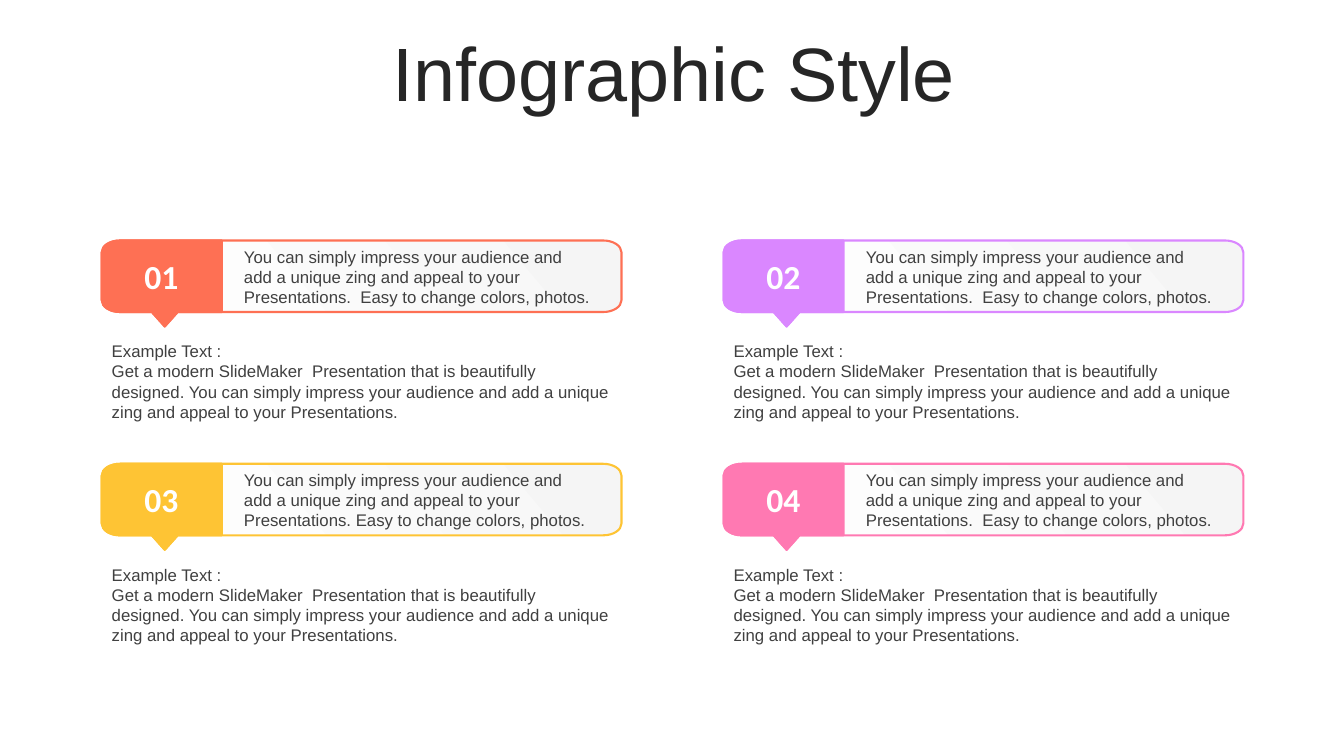
"""Build the Infographic Style slide with four numbered callout cards."""
from pptx import Presentation
from pptx.dml.color import RGBColor
from pptx.enum.text import MSO_ANCHOR as Anchor, MSO_AUTO_SIZE as AutoSize, PP_ALIGN as Align
from pptx.oxml.ns import qn
from pptx.util import Pt

CARDS = [
    ("01", "FE7054", "Presentations.  Easy"),
    ("02", "DA87FF", "Presentations.  Easy"),
    ("03", "FEC434", "Presentations. Easy"),
    ("04", "FF79B2", "Presentations.  Easy"),
]
LEFT, TOP, COLUMN_STEP, ROW_STEP = 72.7, 171.8, 444.2, 159.5
CARD_WIDTH, TAB_WIDTH, CARD_HEIGHT = 371.2, 85.7, 51.1
CORNER_X, CORNER_Y, CURVE = 13, 8.4, 0.55
TIP_X, TIP_HALF, TIP_HEIGHT = 45, 9.2, 10.3
DETAIL = [
    "Example Text :",
    "Get a modern SlideMaker  Presentation that is beautifully designed. "
    "You can simply impress your audience and add a unique zing and appeal "
    "to your Presentations.",
]

deck = Presentation()
deck.slide_width, deck.slide_height = Pt(960), Pt(540)
page = deck.slides.add_slide(deck.slide_layouts[6])


def add_text(lines, left, top, width, height, size=12, color="404040", font="Arial",
             bold=False, align=Align.LEFT, anchor=Anchor.TOP, spacing=None,
             fit=AutoSize.SHAPE_TO_FIT_TEXT):
    box = page.shapes.add_textbox(Pt(left), Pt(top), Pt(width), Pt(height))
    frame = box.text_frame
    frame.word_wrap, frame.auto_size, frame.vertical_anchor = True, fit, anchor
    for index, line in enumerate(lines):
        para = frame.add_paragraph() if index else frame.paragraphs[0]
        para.alignment, para.line_spacing = align, spacing
        span = para.add_run()
        span.text = line
        span.font.name, span.font.size, span.font.bold = font, Pt(size), bold
        span.font.color.rgb = RGBColor.from_string(color)


def add_callout(left, top, width, color, rounded_right):
    right_corners = [(width, 0, 0, CORNER_Y, -CORNER_X, 0),
                     (width, CARD_HEIGHT, -CORNER_X, 0, 0, -CORNER_Y)]
    left_corners = [(0, CARD_HEIGHT, 0, -CORNER_Y, CORNER_X, 0),
                    (0, 0, CORNER_X, 0, 0, -CORNER_Y * -1)]
    tip = [(TIP_X + TIP_HALF, CARD_HEIGHT), (TIP_X, CARD_HEIGHT + TIP_HEIGHT),
           (TIP_X - TIP_HALF, CARD_HEIGHT)]
    square_right = [(width, 0), (width, CARD_HEIGHT)]
    points, curve_starts = [(CORNER_X, 0)], []
    for corner in (right_corners if rounded_right else square_right) + tip + left_corners:
        if len(corner) == 2:
            points.append(corner)
            continue
        x, y, exit_x, exit_y, entry_x, entry_y = corner
        curve_starts.append(len(points) + 1)
        rest = 1 - CURVE
        points += [(x + entry_x, y + entry_y), (x + entry_x * rest, y + entry_y * rest),
                   (x + exit_x * rest, y + exit_y * rest), (x + exit_x, y + exit_y)]
    outline = [(Pt(left + x), Pt(top + y)) for x, y in points]
    builder = page.shapes.build_freeform(*outline[0])
    builder.add_line_segments(outline[1:], close=True)
    callout = builder.convert_to_shape()
    contour = next(callout.element.iter(qn("a:path")))
    segments = list(contour)
    for start in curve_starts:
        curve, *others = segments[start:start + 3]
        curve.tag = qn("a:cubicBezTo")
        for segment in others:
            curve.append(segment[0])
            contour.remove(segment)
    callout.shadow.inherit = False
    callout.line.color.rgb = RGBColor.from_string(color)
    callout.line.width = Pt(1.5)
    if rounded_right:
        callout.fill.gradient()
        callout.fill.gradient_angle = 220
        for stop, shade in zip(callout.fill.gradient_stops, ("F5F5F5", "FFFFFF")):
            stop.color.rgb = RGBColor.from_string(shade)
    else:
        callout.fill.solid()
        callout.fill.fore_color.rgb = RGBColor.from_string(color)


add_text(["Infographic Style"], 25.6, 26.6, 911.5, 56.9, size=54, color="262626",
         align=Align.CENTER, anchor=Anchor.MIDDLE, spacing=0.9, fit=AutoSize.NONE)

for index, (number, color, ending) in enumerate(CARDS):
    row, column = divmod(index, 2)
    left, top = LEFT + column * COLUMN_STEP, TOP + row * ROW_STEP
    add_callout(left, top, CARD_WIDTH, color, rounded_right=True)
    add_callout(left, top, TAB_WIDTH, color, rounded_right=False)
    add_text([number], left + 14.5, top + 7.4, 56.2, 36, size=24, color="FFFFFF",
             font="Calibri", bold=True, align=Align.CENTER)
    add_text(["You can simply impress your audience and add a unique zing and appeal "
              f"to your {ending} to change colors, photos."], left + 94.5, top + 0.6, 265, 51.1)
    add_text(DETAIL, left, top + 68.2, CARD_WIDTH, 65.5)

deck.save("out.pptx")
